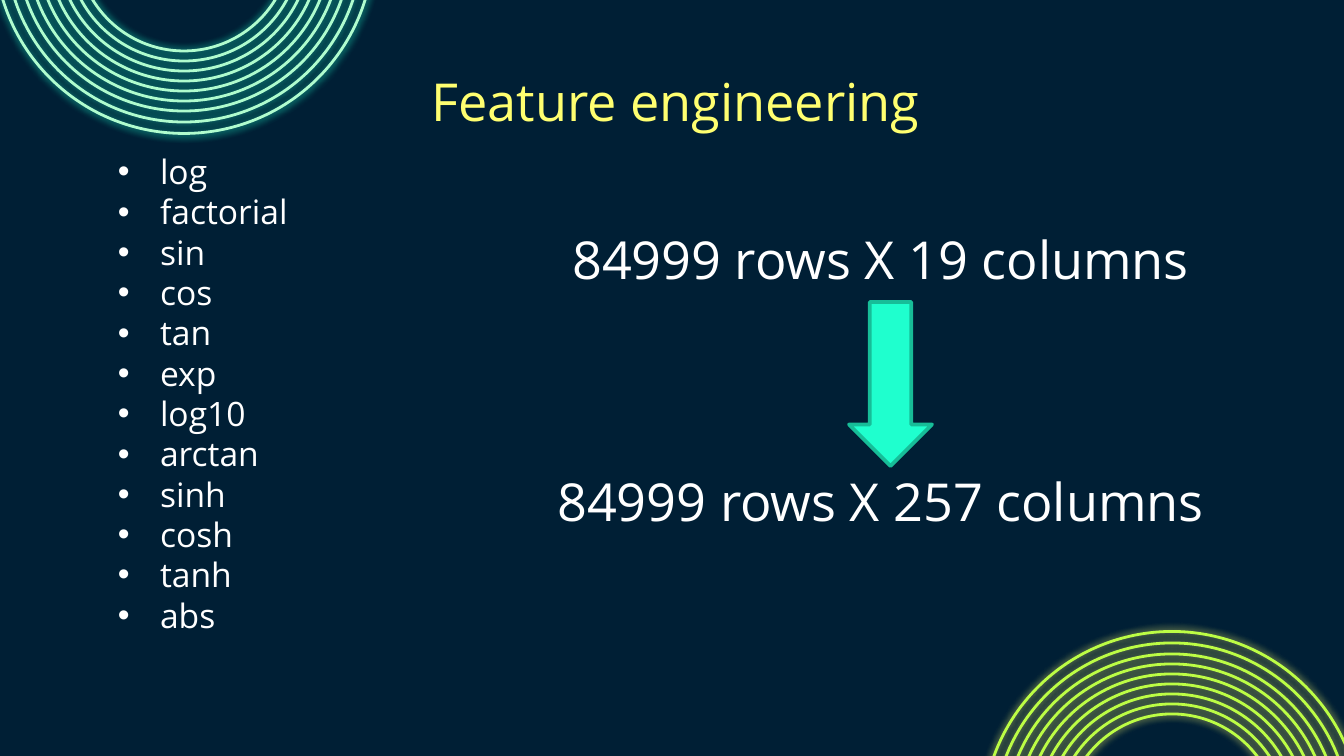
"""Build the feature engineering slide with ring ornaments, a list and a size comparison."""
import lxml.etree
import pptx
import pptx.dml.color
import pptx.enum.shapes
import pptx.enum.text
import pptx.oxml.ns
import pptx.util

SCALE = 914400 / 134.4
FONT = "Open Sans"
WHITE = "FFFFFF"
qn = pptx.oxml.ns.qn


def color(value):
    return pptx.dml.color.RGBColor.from_string(value)


def add_text(paragraph, text, size, value):
    run = paragraph.add_run()
    run.text = text
    run.font.name = FONT
    run.font.size = pptx.util.Pt(size)
    run.font.color.rgb = color(value)


presentation = pptx.Presentation()
presentation.slide_width = round(1344 * SCALE)
presentation.slide_height = round(756 * SCALE)
slide = presentation.slides.add_slide(presentation.slide_layouts[1])
slide.background.fill.solid()
slide.background.fill.fore_color.rgb = color("001F35")

ring_diameters = [379, 356, *range(334, 213, -20)]
ornaments = [(184, -56, "B0FCCE", "1FFFCE"), (1172, 821, "BCFD45", "FFFF70")]
for center_x, center_y, line_color, glow_color in ornaments:
    rings = slide.shapes.add_group_shape()
    for diameter in ring_diameters:
        left, top = center_x - diameter / 2, center_y - diameter / 2
        ring = rings.shapes.add_shape(
            pptx.enum.shapes.MSO_SHAPE.OVAL,
            *[round(n * SCALE) for n in (left, top, diameter, diameter)])
        ring.fill.background()
        ring.line.color.rgb = color(line_color)
        ring.line.width = pptx.util.Pt(1.5)
        ring.shadow.inherit = False
        effects = ring._element.spPr.find(qn("a:effectLst"))
        glow = lxml.etree.SubElement(
            effects, qn("a:outerShdw"), blurRad="57150", dist="0",
            algn="ctr", rotWithShape="0")
        glow_fill = lxml.etree.SubElement(glow, qn("a:srgbClr"), val=glow_color)
        lxml.etree.SubElement(glow_fill, qn("a:alpha"), val="90000")

title = slide.shapes.title
body = slide.placeholders[1]
sizes = slide.shapes.add_textbox(0, 0, 1, 1)
middle = pptx.enum.text.MSO_ANCHOR.MIDDLE
top_anchor = pptx.enum.text.MSO_ANCHOR.TOP
for shape, box, anchor in [
    (title, (105, 79, 1141, 43), middle),
    (body, (105, 138, 745, 539), top_anchor),
    (sizes, (508, 165, 745, 430), middle),
]:
    shape.left, shape.top, shape.width, shape.height = [round(n * SCALE) for n in box]
    frame = shape.text_frame
    frame.word_wrap = True
    frame.auto_size = pptx.enum.text.MSO_AUTO_SIZE.NONE
    frame.vertical_anchor = anchor
    frame.margin_left = frame.margin_right = round(13 * SCALE)
    frame.margin_top = frame.margin_bottom = round(13 * SCALE)

heading = title.text_frame.paragraphs[0]
heading.alignment = pptx.enum.text.PP_ALIGN.CENTER
add_text(heading, "Feature engineering", 28, "FFFF70")

functions = ["log", "factorial", "sin", "cos", "tan", "exp",
             "log10", "arctan", "sinh", "cosh", "tanh", "abs"]
for index, name in enumerate(functions):
    frame = body.text_frame
    paragraph = frame.add_paragraph() if index else frame.paragraphs[0]
    paragraph.line_spacing = pptx.util.Pt(21.6)
    paragraph.space_before = pptx.util.Pt(0)
    add_text(paragraph, name, 18, WHITE)
    properties = paragraph._p.get_or_add_pPr()
    properties.set("marL", str(round(42 * SCALE)))
    properties.set("indent", str(round(-42 * SCALE)))
    bullet_color = lxml.etree.SubElement(properties, qn("a:buClr"))
    lxml.etree.SubElement(bullet_color, qn("a:srgbClr"), val=WHITE)
    lxml.etree.SubElement(properties, qn("a:buFont"), typeface="Arial")
    lxml.etree.SubElement(properties, qn("a:buChar"), char="•")

for index, columns in enumerate([19, 257]):
    frame = sizes.text_frame
    paragraph = frame.add_paragraph() if index else frame.paragraphs[0]
    paragraph.alignment = pptx.enum.text.PP_ALIGN.CENTER
    paragraph.space_before = pptx.util.Pt(96 * index)
    add_text(paragraph, f"84999 rows X {columns} columns", 28, WHITE)

arrow = slide.shapes.add_shape(
    pptx.enum.shapes.MSO_SHAPE.DOWN_ARROW,
    *[round(n * SCALE) for n in (849, 302, 83, 164)])
arrow.shadow.inherit = False
arrow.fill.solid()
arrow.fill.fore_color.rgb = color("1FFFCE")
arrow.line.color.rgb = color("17BD98")
arrow.line.width = pptx.util.Pt(2)

presentation.save("out.pptx")
